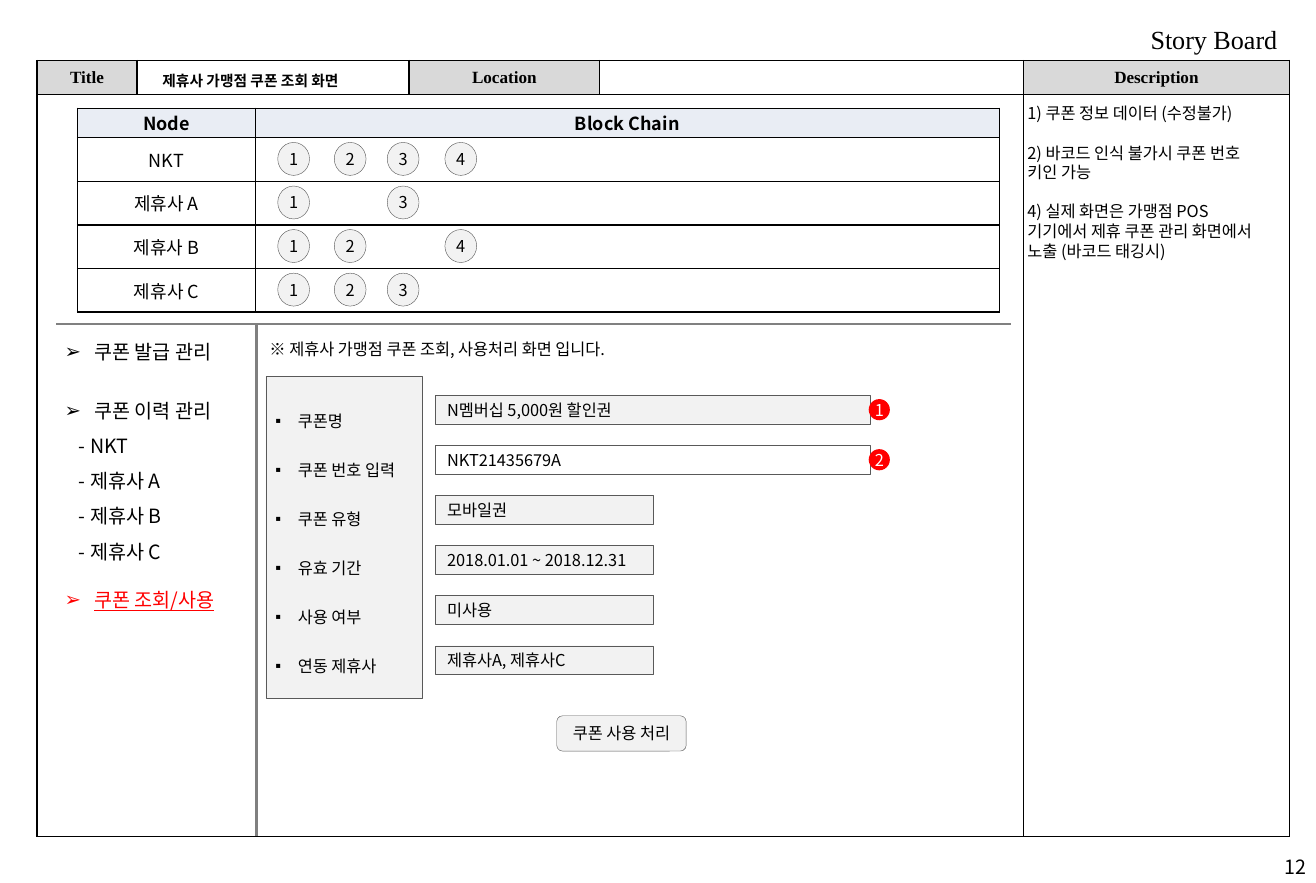
from dataclasses import dataclass
from typing import Optional

from lxml.etree import SubElement
from pptx import Presentation
from pptx.dml.color import RGBColor
from pptx.enum.shapes import MSO_CONNECTOR as Connector, MSO_SHAPE as Preset
from pptx.enum.text import MSO_ANCHOR as Anchor, MSO_AUTO_SIZE as AutoSize, PP_ALIGN as Align
from pptx.oxml.ns import qn
from pptx.util import Emu, Inches, Pt

GRID = Inches(0.1)
SANS, SERIF = "Noto Sans CJK KR", "Times New Roman"
BLACK, WHITE, RED = "000000", "FFFFFF", "FF0000"
PALE, EDGE, RULE, HEADING, NODE_HEADING = "F2F2F2", "595959", "808080", "D9D9D9", "E9EDF4"


@dataclass(frozen=True)
class Box:
    col: float
    row: float
    cols: float
    rows: float

    def lengths(self) -> tuple:
        return tuple(span(n) for n in (self.col, self.row, self.cols, self.rows))


@dataclass(frozen=True)
class Style:
    size: float = 10
    font: str = SANS
    color: str = BLACK
    bold: bool = False
    underline: bool = False
    align: Align = Align.LEFT


@dataclass(frozen=True)
class Line:
    text: str
    style: Style = Style()
    bullet: str = ""
    indent: float = 0
    pitch: Optional[float] = None
    before: float = 0


@dataclass(frozen=True)
class Field:
    label: str
    value: str
    cols: float = 18.5
    fill: Optional[str] = PALE
    marker: str = ""


@dataclass(frozen=True)
class Node:
    name: str
    blocks: tuple


def span(units: float) -> Emu:
    return Emu(round(units * GRID))


def rgb(color: str) -> RGBColor:
    return RGBColor.from_string(color)


def paint(fill, color: Optional[str]) -> None:
    if color:
        fill.solid()
        fill.fore_color.rgb = rgb(color)
    else:
        fill.background()


def add_run(paragraph, text: str, style: Style) -> None:
    run = paragraph.add_run()
    run.text = text
    run.font.size, run.font.name = Pt(style.size), style.font
    run.font.bold, run.font.underline = style.bold, style.underline
    run.font.color.rgb = rgb(style.color)
    SubElement(run._r.get_or_add_rPr(), qn("a:ea"), typeface=style.font)


def write(frame, lines: list, anchor: Anchor = Anchor.MIDDLE, inset: float = 1, left: float = 1) -> None:
    frame.word_wrap, frame.auto_size, frame.vertical_anchor = True, AutoSize.NONE, anchor
    frame.margin_left, frame.margin_right = span(left), span(inset)
    frame.margin_top = frame.margin_bottom = span(inset / 2)
    for index, line in enumerate(lines):
        paragraph = frame.add_paragraph() if index else frame.paragraphs[0]
        paragraph.alignment = line.style.align
        paragraph.space_before, paragraph.space_after = Pt(line.before), Pt(0)
        if line.pitch:
            paragraph.line_spacing = Pt(line.pitch)
        properties = paragraph._p.get_or_add_pPr()
        properties.set("marL", str(span(line.indent)))
        properties.set("indent", str(-span(line.indent) if line.bullet else 0))
        if line.bullet:
            SubElement(properties, qn("a:buChar"), char=line.bullet)
        else:
            SubElement(properties, qn("a:buNone"))
        add_run(paragraph, line.text, line.style)


def place(holder, box: Box):
    holder.left, holder.top, holder.width, holder.height = box.lengths()
    return holder


def add_text(slide, box: Box, lines: list, anchor: Anchor = Anchor.MIDDLE) -> None:
    write(slide.shapes.add_textbox(*box.lengths()).text_frame, lines, anchor)


def add_figure(slide, preset: Preset, box: Box, fill: Optional[str], edge: Optional[str],
               line: Optional[Line] = None, inset: float = 0):
    figure = slide.shapes.add_shape(preset, *box.lengths())
    figure.shadow.inherit = False
    paint(figure.fill, fill)
    paint(figure.line.fill, edge)
    if edge:
        figure.line.width = Pt(0.25)
    if line:
        write(figure.text_frame, [line], inset=inset, left=inset)
    return figure


def add_rule(slide, start: tuple, end: tuple) -> None:
    rule = slide.shapes.add_connector(Connector.STRAIGHT, *(span(n) for n in start + end))
    rule.line.color.rgb, rule.line.width = rgb(RULE), Pt(1.5)
    SubElement(rule._element.spPr, qn("a:effectLst"))


def add_cell(cell, text: str, style: Style, fill: Optional[str]) -> None:
    properties = cell._tc.get_or_add_tcPr()
    for side in ("a:lnL", "a:lnR", "a:lnT", "a:lnB"):
        border = SubElement(properties, qn(side), w=str(Pt(1)))
        SubElement(SubElement(border, qn("a:solidFill")), qn("a:srgbClr"), val=BLACK)
    paint(cell.fill, fill)
    cell.vertical_anchor = Anchor.MIDDLE
    cell.margin_left = cell.margin_right = cell.margin_top = cell.margin_bottom = span(0.1)
    paragraph = cell.text_frame.paragraphs[0]
    paragraph.alignment = style.align
    if text:
        add_run(paragraph, text, style)
    else:
        SubElement(paragraph._p, qn("a:endParaRPr"), sz="1000")


def add_grid(slide, col: float, row: float, cols: list, rows: list, texts: list,
             heading: Style, body: Style, fill: str):
    box = Box(col, row, sum(cols), sum(rows))
    grid = slide.shapes.add_table(len(rows), len(cols), *box.lengths()).table
    grid.first_row = grid.horz_banding = False
    for column, width in zip(grid.columns, cols):
        column.width = span(width)
    for r, height in enumerate(rows):
        grid.rows[r].height = span(height)
        for c, text in enumerate(texts[r]):
            add_cell(grid.cell(r, c), text, body if r else heading, fill if text and not r else None)
    return grid


FRAME_HEADING = Style(10.5, SERIF, bold=True, align=Align.CENTER)
NODE_STYLE = Style(11, align=Align.CENTER)
CENTERED = Style(align=Align.CENTER)
MENU = Style(12)
NODES = [Node("NKT", (1, 2, 3, 4)), Node("제휴사 A", (1, 3)),
         Node("제휴사 B", (1, 2, 4)), Node("제휴사 C", (1, 2, 3))]
NODE_ROW = 3.7
BLOCK_COLS = {1: 23.6, 2: 28.4, 3: 32.9, 4: 37.8}
FIELDS = [Field("쿠폰명", "N멤버십 5,000원 할인권", 36.9, marker="1"),
          Field("쿠폰 번호 입력", "NKT21435679A", 36.9, None, "2"),
          Field("쿠폰 유형", "모바일권"), Field("유효 기간", "2018.01.01 ~ 2018.12.31"),
          Field("사용 여부", "미사용"), Field("연동 제휴사", "제휴사A, 제휴사C")]
NOTES = ["1) 쿠폰 정보 데이터 (수정불가)", "2) 바코드 인식 불가시 쿠폰 번호 키인 가능",
         "4) 실제 화면은 가맹점 POS기기에서 제휴 쿠폰 관리 화면에서 노출 (바코드 태깅시)"]


def main() -> None:
    deck = Presentation()
    deck.slide_width, deck.slide_height = span(111.8), span(75)
    slide = deck.slides.add_slide(deck.slide_layouts[3])
    title, menu, labels = slide.placeholders

    frame = add_grid(slide, 3.15, 5.15, [8.5, 23.1, 16.2, 36, 22.6], [2.9, 63],
                     [["Title", "", "Location", "", "Description"], [""] * 5],
                     FRAME_HEADING, FRAME_HEADING, HEADING)
    frame.cell(1, 0).merge(frame.cell(1, 3))
    add_text(slide, Box(81, 1.5, 28.5, 3.7), [Line("Story Board", Style(16, SERIF, align=Align.RIGHT))])
    add_text(slide, Box(107.7, 72.4, 4.3, 2.5), [Line("12", Style(12, align=Align.RIGHT))])
    write(place(title, Box(12.8, 5.3, 22.3, 3.1)).text_frame,
          [Line("제휴사 가맹점 쿠폰 조회 화면", Style(9, bold=True))])
    write(place(menu, Box(5.5, 28.3, 15.5, 24.2)).text_frame,
          [Line("쿠폰 발급 관리", MENU, "➢", 2.5, 15),
           Line("쿠폰 이력 관리", MENU, "➢", 2.5, 21.5, 14.5),
           *(Line(f"- {node.name}", MENU, indent=1.2, pitch=21.5) for node in NODES),
           Line("쿠폰 조회/사용", Style(12, color=RED, underline=True), "➢", 2.5, 15, 14.5)],
          Anchor.TOP, left=0)

    add_grid(slide, 6.6, 9.2, [15.1, 63.2], [2.5] + [NODE_ROW] * len(NODES),
             [["Node", "Block Chain"], *([node.name, ""] for node in NODES)],
             Style(11, bold=True, align=Align.CENTER), NODE_STYLE, NODE_HEADING)
    for index, node in enumerate(NODES):
        for block in node.blocks:
            add_figure(slide, Preset.OVAL, Box(BLOCK_COLS[block], 12.1 + NODE_ROW * index, 2.7, 2.8),
                       PALE, EDGE, Line(str(block), CENTERED))
    add_rule(slide, (4.8, 27.5), (85.9, 27.5))
    add_rule(slide, (21.8, 71), (21.8, 27.5))

    add_text(slide, Box(21.9, 28.3, 33.5, 2.7), [Line("※ 제휴사 가맹점 쿠폰 조회, 사용처리 화면 입니다.")])
    add_text(slide, Box(86.3, 8.3, 21.5, 14.5),
             [Line(note, pitch=12, before=12 if index else 0) for index, note in enumerate(NOTES)],
             Anchor.TOP)
    panel = add_figure(slide, Preset.RECTANGLE, Box(22.6, 32, 13.3, 27.3), PALE, EDGE)
    write(place(labels, Box(22.4, 31.9, 13.8, 26.5)).text_frame,
          [Line(field.label, bullet="▪", indent=1.9, pitch=30) for field in FIELDS], Anchor.TOP)
    panel._element.addnext(labels._element)
    for index, field in enumerate(FIELDS):
        top = 33.6 + 4.25 * index
        add_figure(slide, Preset.RECTANGLE, Box(37, top, field.cols, 2.4), field.fill, EDGE,
                   Line(field.value), 1)
        if field.marker:
            add_figure(slide, Preset.OVAL, Box(73.8, top + 0.3, 1.8, 1.8), RED, None,
                       Line(field.marker, Style(color=WHITE, align=Align.CENTER)))
    add_figure(slide, Preset.ROUNDED_RECTANGLE, Box(47.3, 60.8, 11, 3), PALE, EDGE,
               Line("쿠폰 사용 처리", CENTERED))
    deck.save("out.pptx")


if __name__ == "__main__":
    main()
